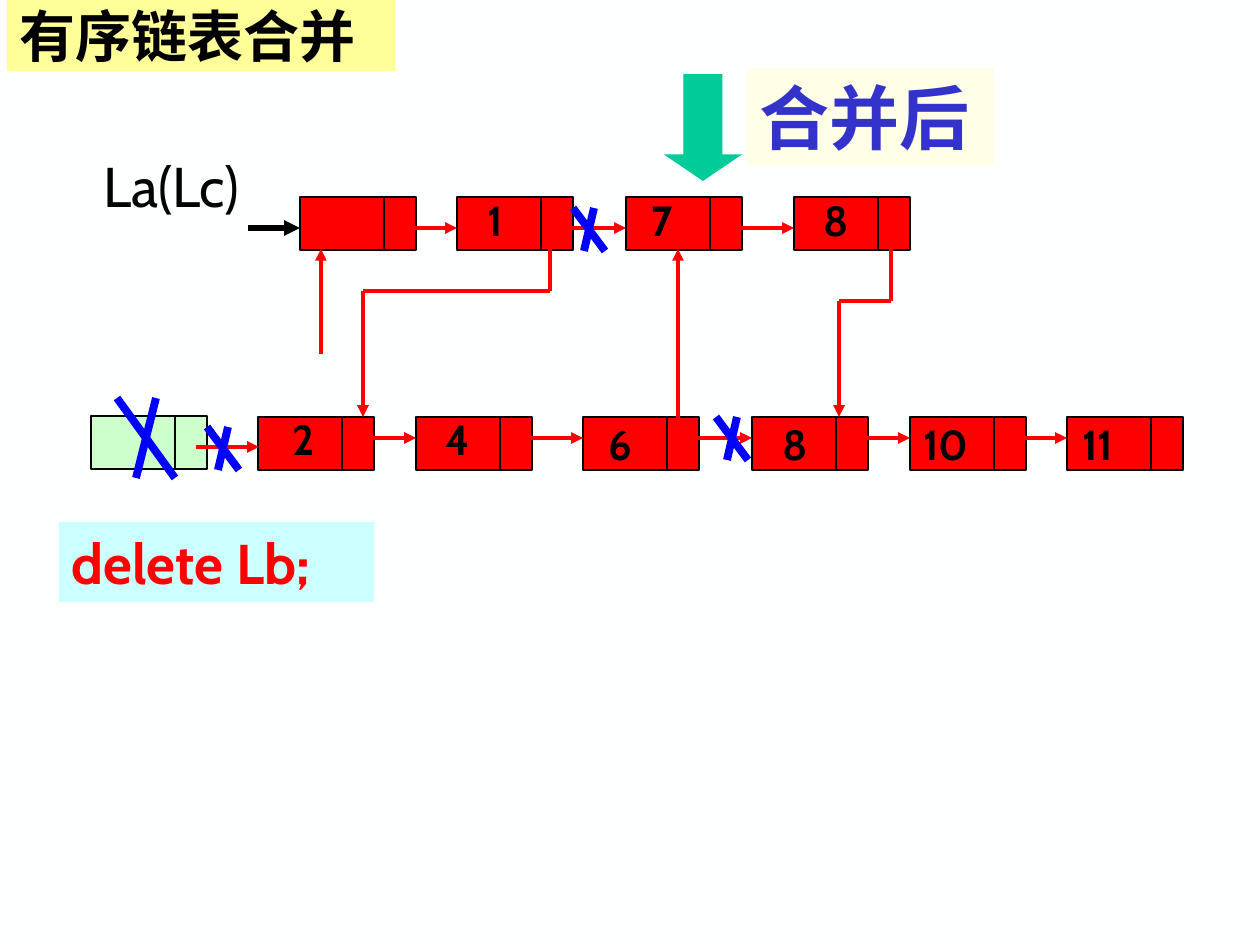
from dataclasses import dataclass

from lxml.etree import SubElement
from pptx import Presentation
from pptx.dml.color import RGBColor
from pptx.enum.shapes import MSO_CONNECTOR, MSO_SHAPE
from pptx.enum.text import MSO_ANCHOR
from pptx.oxml.ns import qn
from pptx.util import Emu, Pt


@dataclass(frozen=True)
class Theme:
    background: str = "FEFFFF"
    black: str = "000000"
    red: str = "FF0000"
    blue: str = "0000FF"
    deleted: str = "CCFFCC"
    arrow: str = "00CC99"
    title_fill: str = "FFFF99"
    result_fill: str = "FFFFE7"
    result_text: str = "3333CC"
    code_fill: str = "CCFFFF"
    latin: str = "Cabin"
    chinese: str = "Noto Sans CJK SC"
    serif: str = "Times New Roman"
    value_size: int = 24
    label_size: int = 32
    result_size: int = 40
    border: float = 0.75
    link: float = 2.25
    head: float = 3
    strike: float = 4.5


theme = Theme()
SCALE = 914400 / 126  # EMU in one px


def px(*lengths):
    return [Emu(round(length * SCALE)) for length in lengths]


def add_line(start, end, color, width, arrow=False):
    line = slide.shapes.add_connector(MSO_CONNECTOR.STRAIGHT, *px(*start, *end))
    line.line.color.rgb = RGBColor.from_string(color)
    line.line.width = Pt(width)
    if arrow:
        SubElement(line.line._get_or_add_ln(), qn("a:tailEnd"), type="triangle")
    SubElement(line._element.spPr, qn("a:effectLst"))


deck = Presentation()
deck.slide_width, deck.slide_height = px(1260, 945)
slide = deck.slides.add_slide(deck.slide_layouts[6])
slide.background.fill.solid()
slide.background.fill.fore_color.rgb = RGBColor.from_string(theme.background)

# Node cells: a data field and a pointer field
TOP, BOTTOM, DATA, POINTER, HEIGHT = 197, 417, 84, 32, 53
top_row = [300, 457, 626, 794]
bottom_row = [258, 416, 583, 752, 910, 1067]
nodes = [(left, TOP, theme.red) for left in top_row]
nodes += [(left, BOTTOM, theme.red) for left in bottom_row]
nodes.append((91, BOTTOM - 1, theme.deleted))
for left, top, color in nodes:
    for cell_left, width in ((left, DATA), (left + DATA, POINTER)):
        cell = slide.shapes.add_shape(
            MSO_SHAPE.RECTANGLE, *px(cell_left, top, width, HEIGHT))
        cell.shadow.inherit = False
        cell.fill.solid()
        cell.fill.fore_color.rgb = RGBColor.from_string(color)
        cell.line.color.rgb = RGBColor.from_string(theme.black)
        cell.line.width = Pt(theme.border)

# Links between neighbours in a row
LINK = 63
links = [(left, 228) for left in top_row[1:]]
links += [(left, 438) for left in bottom_row[1:]] + [(259, 447)]
for end, y in links:
    add_line((end - LINK, y), (end, y), theme.red, theme.link, True)

# Links between the rows; the last stretch of each carries the arrowhead
routes = [
    [(321, 354), (321, 249)],
    [(550, 228), (550, 291), (363, 291), (363, 417)],
    [(678, 438), (678, 249)],
    [(891, 228), (891, 301), (839, 301), (839, 417)],
]
for route in routes:
    for start, end in zip(route, route[1:]):
        add_line(start, end, theme.red, theme.link, end == route[-1])
add_line((248, 228), (300, 228), theme.black, theme.head, True)

# Down arrow towards the merged list
down = slide.shapes.add_shape(MSO_SHAPE.DOWN_ARROW, *px(664, 74, 78, 107))
down.adjustments[0], down.adjustments[1] = 0.5, 0.34
down.shadow.inherit = False
down.fill.solid()
down.fill.fore_color.rgb = RGBColor.from_string(theme.arrow)
down.line.fill.background()

# Texts: wording, place, fill, colour, size, bold, latin and east asian font
texts = [
    ("La(Lc)", (91, 145, 186, 81), None, theme.black,
     theme.label_size, False, theme.latin, theme.latin),
    ("合并后", (747, 68, 247, 97), theme.result_fill, theme.result_text,
     theme.result_size, True, theme.serif, theme.latin),
    ("delete Lb;", (59, 522, 315, 80), theme.code_fill, theme.red,
     theme.label_size, True, theme.latin, theme.latin),
    ("有序链表合并", (7, 0, 388, 71), theme.title_fill, theme.black,
     theme.label_size, True, theme.chinese, theme.chinese),
]
values = [
    ("1", 475, 188), ("7", 639, 188), ("8", 811, 188),
    ("2", 280, 407), ("4", 433, 407), ("6", 596, 412),
    ("8", 770, 412), ("10", 911, 412), ("11", 1070, 412),
]
for value, left, top in values:
    texts.append((value, (left, top, 25 + 24 * len(value), 63), None, theme.black,
                  theme.value_size, True, theme.latin, theme.latin))

for wording, place, fill, color, size, bold, latin, east_asian in texts:
    box = slide.shapes.add_textbox(*px(*place))
    if fill:
        box.fill.solid()
        box.fill.fore_color.rgb = RGBColor.from_string(fill)
    frame = box.text_frame
    frame.word_wrap = size != theme.value_size
    frame.vertical_anchor = (
        MSO_ANCHOR.MIDDLE if latin == theme.chinese else MSO_ANCHOR.TOP)
    frame.text = wording
    span = frame.paragraphs[0].runs[0]
    span.font.size = Pt(size)
    span.font.bold = bold
    span.font.name = latin
    span.font.color.rgb = RGBColor.from_string(color)
    SubElement(span.font._element, qn("a:ea"), typeface=east_asian)

# Crosses over the removed links and the deleted head node
crosses = [(573, 208, 32, 43), (716, 417, 32, 43),
           (207, 427, 32, 43), (117, 398, 58, 80)]
for left, top, width, height in crosses:
    third, bottom = round(width / 3), top + height
    add_line((left + width - third, top), (left + third, bottom),
             theme.blue, theme.strike)
    add_line((left, top), (left + width, bottom), theme.blue, theme.strike)

deck.save("out.pptx")
